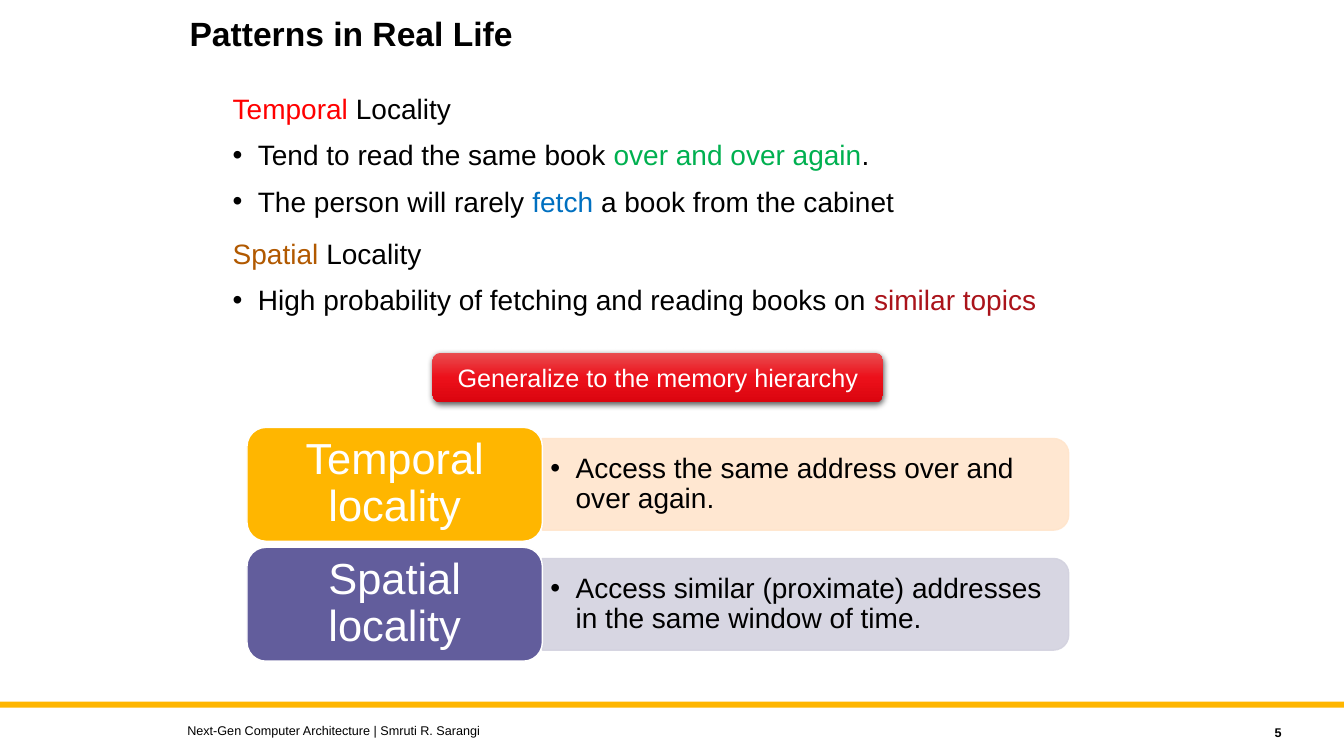
"""Build the slide on temporal and spatial locality."""
from copy import deepcopy

from lxml.etree import SubElement
from pptx import Presentation
from pptx.dml.color import RGBColor
from pptx.enum.shapes import MSO_SHAPE
from pptx.enum.text import MSO_ANCHOR, MSO_AUTO_SIZE, PP_ALIGN
from pptx.oxml.ns import qn
from pptx.util import Inches, Pt

COLORS = {
    "black": "000000", "white": "FFFFFF", "red": "FF0000", "green": "00B050",
    "blue": "0070C0", "brown": "B15900", "crimson": "AA131A",
    "amber": "FFB600", "violet": "625D9C", "peach": "FFE5CC", "lilac": "D3D2DF",
    "top": "E94D50", "middle": "EC101A", "bottom": "DB050F",
}
RGB = {name: RGBColor.from_string(value) for name, value in COLORS.items()}


def add_text(tf, runs, size, color="black", bold=False, bullet=False,
             align=PP_ALIGN.LEFT, before=0, spacing=1.0, anchor=MSO_ANCHOR.MIDDLE,
             insets=(0.1, 0.05)):
    """Add one paragraph of (text, colour) runs, or of a plain string."""
    tf.word_wrap = True
    tf.auto_size = MSO_AUTO_SIZE.NONE
    tf.vertical_anchor = anchor
    tf.margin_left = tf.margin_right = Inches(insets[0])
    tf.margin_top = tf.margin_bottom = Inches(insets[1])
    p = tf.add_paragraph() if tf.text else tf.paragraphs[0]
    if bullet:
        pPr = p._p.get_or_add_pPr()
        pPr.set("marL", str(Inches(0.25)))
        pPr.set("indent", str(-Inches(0.25)))
        SubElement(pPr, qn("a:buFont")).set("typeface", "Arial")
        SubElement(pPr, qn("a:buChar")).set("char", "•")
    p.alignment = align
    p.line_spacing = spacing
    p.space_before = Pt(before)
    for text, tint in [(runs, color)] if isinstance(runs, str) else runs:
        r = p.add_run()
        r.text = text
        r.font.name = "Arial"
        r.font.size = Pt(size)
        r.font.bold = bold
        r.font.color.rgb = RGB[tint]


def add_box(shapes, kind, left, top, width, height, fill=None, line=None):
    """Add a preset shape, or a text box when kind is None, sized in inches."""
    at = [Inches(v) for v in (left, top, width, height)]
    if kind is None:
        return shapes.add_textbox(*at)
    sp = shapes.add_shape(kind, *at)
    sp.shadow.inherit = False
    if fill:
        sp.fill.solid()
        sp.fill.fore_color.rgb = RGB[fill]
    if line:
        sp.line.color.rgb = RGB[line]
        sp.line.width = Pt(1)
    else:
        sp.line.fill.background()
    return sp


prs = Presentation()
prs.slide_width, prs.slide_height = Inches(13.33), Inches(7.5)
s = prs.slides.add_slide(prs.slide_layouts[5])

add_box(s.shapes, MSO_SHAPE.RECTANGLE, 0, 6.96, 13.33, 0.06, "amber")

title = s.shapes.title
title.left, title.top = Inches(1.78), Inches(0.12)
title.width, title.height = Inches(7.5), Inches(0.9)
add_text(title.text_frame, "Patterns in Real Life", 24, bold=True, spacing=0.9,
         anchor=MSO_ANCHOR.TOP)

body = add_box(s.shapes, None, 2.21, 0.86, 8.4, 2.5)
points = [
    (False, [("Temporal", "red"), (" Locality", "black")]),
    (True, [("Tend to read the same book ", "black"),
            ("over and over again", "green"), (".", "black")]),
    (True, [("The person will rarely ", "black"), ("fetch", "blue"),
            (" a book from the cabinet", "black")]),
    (False, [("Spatial", "brown"), (" Locality", "black")]),
    (True, [("High probability of fetching and reading books on ", "black"),
            ("similar topics", "crimson")]),
]
for i, (bullet, runs) in enumerate(points):
    before = 0 if i == 0 else 9 if bullet else 13.5
    add_text(body.text_frame, runs, 20, bullet=bullet, before=before,
             anchor=MSO_ANCHOR.TOP)

banner = add_box(s.shapes, MSO_SHAPE.ROUNDED_RECTANGLE, 4.29, 3.5, 4.47, 0.49)
banner.fill.gradient()
banner.fill.gradient_angle = 270
stops = banner._element.spPr.find(qn("a:gradFill")).find(qn("a:gsLst"))
stops.append(deepcopy(stops[0]))
for i, (stop, name) in enumerate(zip(banner.fill.gradient_stops, ("top", "middle", "bottom"))):
    stop.position = i / 2
    stop.color.rgb = RGB[name]
shadow = SubElement(banner._element.spPr.find(qn("a:effectLst")), qn("a:outerShdw"),
                    blurRad=str(Pt(4.5)), dist=str(Pt(1.5)), dir="5400000", rotWithShape="0")
tint = SubElement(shadow, qn("a:srgbClr"), val=COLORS["black"])
SubElement(tint, qn("a:alpha"), val="63000")
add_text(banner.text_frame, "Generalize to the memory hierarchy", 18, "white",
         align=PP_ALIGN.CENTER)

rows = [
    ("Temporal locality", "amber", "peach", "Access the same address over and over again."),
    ("Spatial locality", "violet", "lilac",
     "Access similar (proximate) addresses in the same window of time."),
]
LEFT, TOP, PITCH = 2.45, 4.24, 1.19
LABEL_W, LABEL_H, PANEL_W, PANEL_H = 2.93, 1.13, 5.22, 0.91
for i, (name, dark, light, text) in enumerate(rows):
    top = TOP + i * PITCH
    panel_left = LEFT + LABEL_W
    middle = top + LABEL_H / 2
    panel = add_box(s.shapes, MSO_SHAPE.ROUND_2_SAME_RECTANGLE,
                    panel_left + (PANEL_W - PANEL_H) / 2, middle - PANEL_W / 2,
                    PANEL_H, PANEL_W, light, light)
    panel.rotation = 90
    for color in panel._element.spPr.iter(qn("a:srgbClr")):
        SubElement(color, qn("a:alpha"), val="90000")
    note = add_box(s.shapes, None, panel_left, middle - 0.41, 5.17, 0.82)
    add_text(note.text_frame, text, 20, bullet=True, spacing=0.9, insets=(0.08, 0.04))
    label = add_box(s.shapes, MSO_SHAPE.ROUNDED_RECTANGLE, LEFT, top, LABEL_W, LABEL_H,
                    dark, "white")
    add_text(label.text_frame, name, 31, "white", align=PP_ALIGN.CENTER, spacing=0.9,
             insets=(0.13, 0.06))

footer = add_box(s.shapes, None, 1.76, 7.12, 8, 0.25)
add_text(footer.text_frame, "Next-Gen Computer Architecture | Smruti R. Sarangi", 9)
number = add_box(s.shapes, None, 11.41, 7.14, 1.4, 0.25)
add_text(number.text_frame, "5", 9, bold=True, align=PP_ALIGN.RIGHT)

prs.save("out.pptx")
